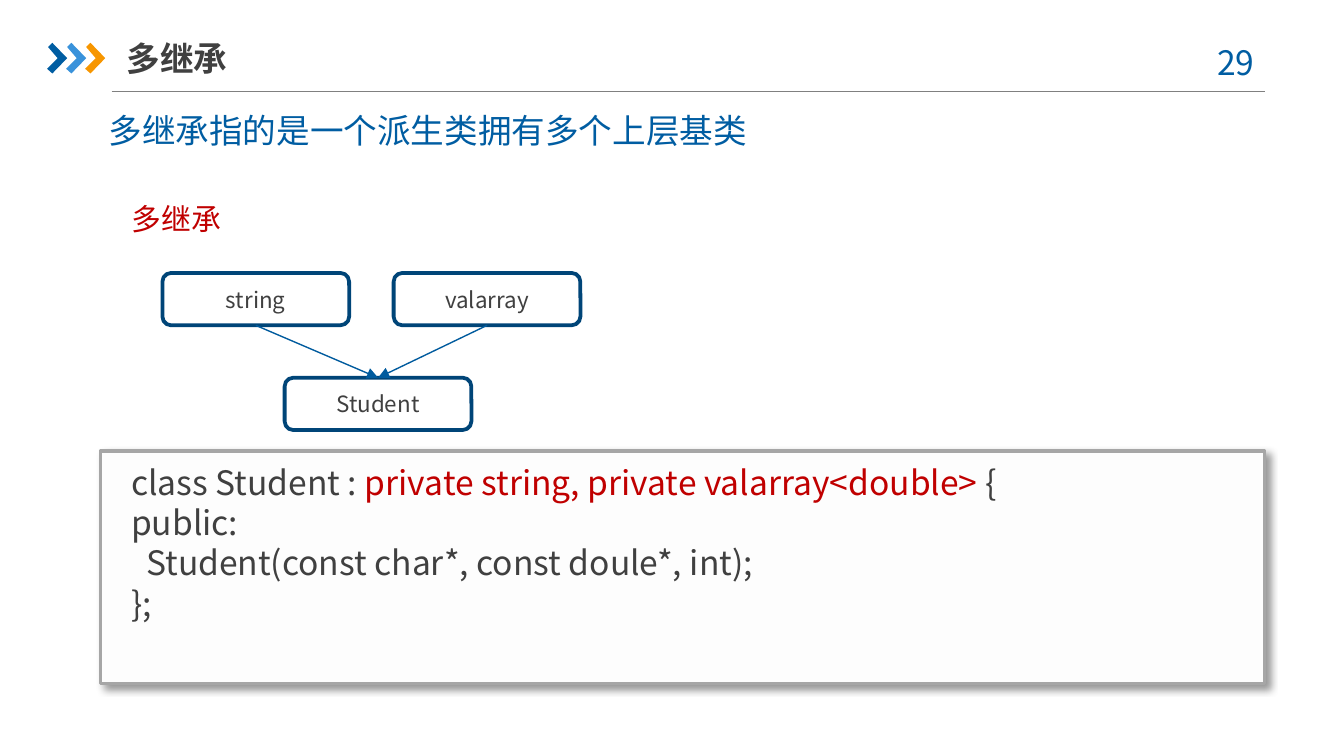
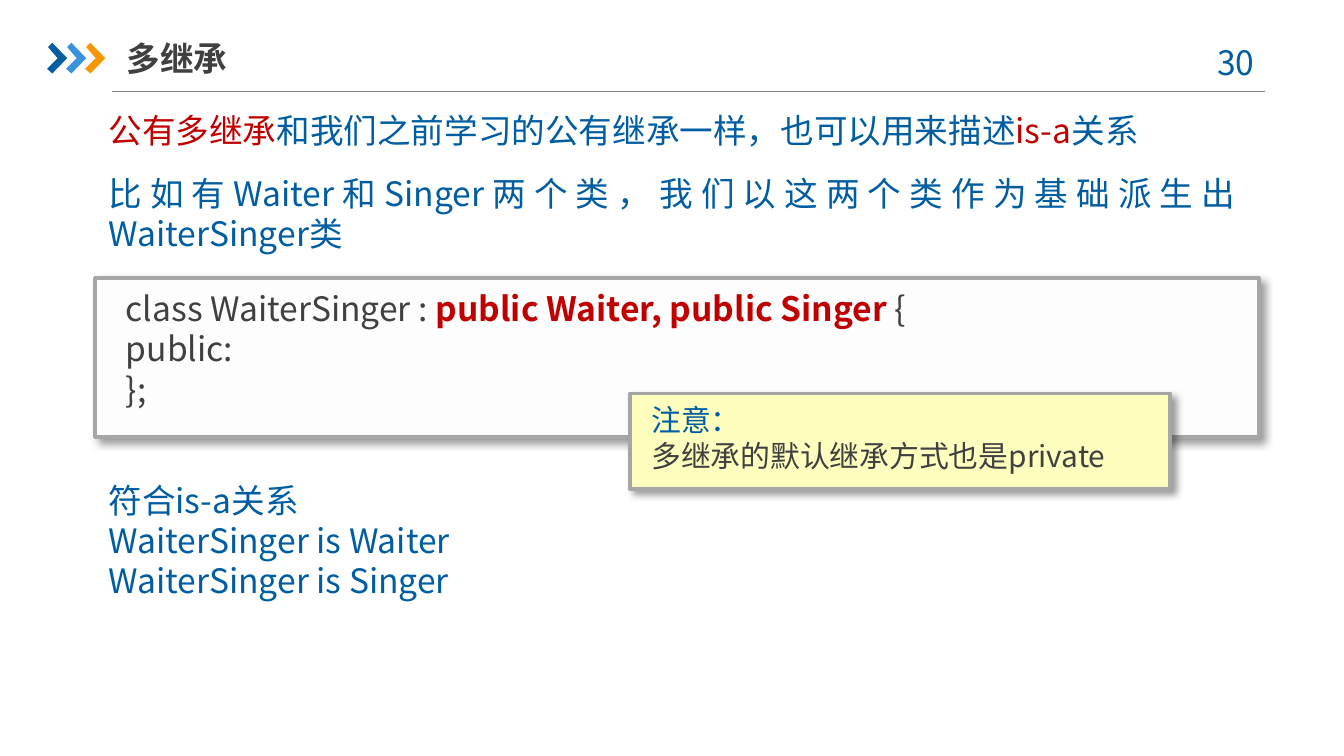
from pptx import Presentation
from pptx.dml.color import RGBColor
from pptx.enum import shapes, text
from pptx.oxml import parse_xml
from pptx.oxml import ns
from pptx.util import Cm, Pt

FONT = "Noto Sans CJK SC"
BLUE, SKY, ORANGE, NAVY = "005DA2", "3992DB", "F79600", "004578"
ARROW, RED, DARK = "005B9E", "C00000", "404040"
GREY, RULE, PAPER, NOTE = "A6A6A6", "808080", "FDFDFD", "FEFFBE"
BODY = (1.8, 1.96, 21.8)
SHADOW = (
    f'<a:effectLst {ns.nsdecls("a")}><a:outerShdw blurRad="{Pt(4)}" dist="{Pt(3)}" '
    'dir="2700000" algn="tl" rotWithShape="0"><a:srgbClr val="000000">'
    '<a:alpha val="40000"/></a:srgbClr></a:outerShdw></a:effectLst>'
)


def color(value):
    return RGBColor.from_string(value)


def lengths(box):
    return [Cm(value) for value in box]


def paint(shape, fill=None, line=None, width=2):
    """Set fill and outline, either of which may be absent, without a shadow."""
    shape.shadow.inherit = False
    if fill:
        shape.fill.solid()
        shape.fill.fore_color.rgb = color(fill)
    else:
        shape.fill.background()
    if line:
        shape.line.color.rgb = color(line)
        shape.line.width = Pt(width)
    else:
        shape.line.fill.background()


def format_span(span, ink, size, bold=False):
    span.font.name = FONT
    span.font.size = Pt(size)
    span.font.bold = bold
    span.font.color.rgb = color(ink)
    east_asian = span.font._element.makeelement(ns.qn("a:ea"), {"typeface": FONT})
    span.font._element.find(ns.qn("a:latin")).addnext(east_asian)


def write(shape, paras, size=18, align=text.PP_ALIGN.LEFT, after=0,
          anchor=text.MSO_ANCHOR.TOP):
    """Fill a shape; each paragraph is a list of (words, colour[, bold])."""
    frame = shape.text_frame
    frame.word_wrap = True
    frame.vertical_anchor = anchor
    for index, pieces in enumerate(paras):
        para = frame.add_paragraph() if index else frame.paragraphs[0]
        para.alignment = align
        para.space_after = Pt(after)
        for words, *style in pieces:
            if words == "\v":
                para.add_line_break()
                continue
            span = para.add_run()
            span.text = words
            format_span(span, style[0], size, *style[1:])


def text_box(page, box, paras, **style):
    write(page.shapes.add_textbox(*lengths(box)), paras, **style)


def add_line(page, start, end, ink):
    line = page.shapes.add_connector(
        shapes.MSO_CONNECTOR.STRAIGHT, *lengths(start + end))
    line.line.color.rgb = color(ink)
    line.line.width = Pt(0.75)
    line._element.spPr.append(parse_xml(f'<a:effectLst {ns.nsdecls("a")}/>'))
    return line


def chevrons(page, left, top):
    outline = [(0.02, 0.08), (0.1, 0), (0.38, 0.29), (0.1, 0.58), (0, 0.49), (0.2, 0.29)]
    for index, fill in enumerate((BLUE, SKY, ORANGE)):
        points = [(Cm(left + 0.36 * index + x), Cm(top + y)) for x, y in outline]
        pen = page.shapes.build_freeform(*points[0])
        pen.add_line_segments(points[1:], close=True)
        paint(pen.convert_to_shape(), fill)


def add_page(deck, title, number):
    """Add a page with the shared header: rule, chevrons, number and title."""
    page = deck.slides.add_slide(deck.slide_layouts[5])
    add_line(page, (2.11, 1.73), (23.9, 1.73), RULE)
    chevrons(page, 0.89, 0.81)
    text_box(page, (22.5, 0.66, 1.85, 1.02), [[(f"{number} ", BLUE)]],
             align=text.PP_ALIGN.CENTER)
    heading = page.shapes.title
    heading.left, heading.top, heading.width, heading.height = lengths((2.39, 0.56, 6.53, 1.07))
    write(heading, [[(title, DARK, True)]], anchor=text.MSO_ANCHOR.MIDDLE)
    heading.text_frame.margin_left = heading.text_frame.margin_right = 0
    return page


def panel(page, box, inner, fill, paras, **style):
    """Draw a shadowed frame with a text area placed relative to its corner."""
    frame = page.shapes.add_shape(shapes.MSO_SHAPE.RECTANGLE, *lengths(box))
    paint(frame, fill, GREY)
    properties = frame._element.spPr
    properties.replace(properties.find(ns.qn("a:effectLst")), parse_xml(SHADOW))
    left, top, width, height = inner
    area = page.shapes.add_shape(
        shapes.MSO_SHAPE.RECTANGLE,
        *lengths((box[0] + left, box[1] + top, width, height)))
    paint(area, fill)
    write(area, paras, **style)


def class_node(page, left, top, name):
    node = page.shapes.add_shape(
        shapes.MSO_SHAPE.ROUNDED_RECTANGLE, *lengths((left, top, 3.53, 0.99)))
    paint(node, line=NAVY)
    write(node, [[(name, DARK)]], size=12, align=text.PP_ALIGN.CENTER,
          anchor=text.MSO_ANCHOR.MIDDLE)
    return node


def inheritance_diagram(page, left, top):
    bases = [class_node(page, left, top, "string"),
             class_node(page, left + 4.37, top, "valarray")]
    derived = class_node(page, left + 2.31, top + 1.98, "Student")
    for base in bases:
        arrow = add_line(page, (0, 0), (0, 0), ARROW)
        arrow.begin_connect(base, 2)
        arrow.end_connect(derived, 0)
        arrow.line._get_or_add_ln().append(
            parse_xml(f'<a:tailEnd {ns.nsdecls("a")} type="triangle"/>'))


def definition_page(deck):
    page = add_page(deck, "多继承", 29)
    text_box(page, (*BODY, 1.02), [[("多继承指的是一个派生类拥有多个上层基类", BLUE)]],
             align=text.PP_ALIGN.JUSTIFY, after=12)
    inheritance_diagram(page, 3.07, 5.16)
    text_box(page, (2.24, 3.66, 4.67, 0.94), [[("多继承", RED)]], size=16)
    panel(page, (1.9, 8.53, 22, 4.39), (0.33, 0.07, 21.36, 3.33), PAPER, [
        [("class Student : ", DARK),
         ("private string, private valarray<double> ", RED), ("{", DARK)],
        [("public:", DARK)],
        [("  Student(const char*, const doule*, int);", DARK)],
        [("};", DARK)],
    ])


def public_page(deck):
    page = add_page(deck, "多继承", 30)
    text_box(page, (*BODY, 3), [
        [("公有多继承", RED), ("和我们之前学习的公有继承一样，也可以用来描述", BLUE),
         ("is-a", RED), ("关系", BLUE)],
        [("比如有Waiter和Singer两个类，我们以这两个类作为基础派生出WaiterSinger类", BLUE)],
    ], align=text.PP_ALIGN.JUSTIFY, after=12)
    panel(page, (1.8, 5.26, 22, 3), (0.33, 0.06, 21.36, 2.57), PAPER, [
        [("class WaiterSinger : ", DARK),
         ("public Waiter, public Singer ", RED, True), ("{", DARK)],
        [("public:", DARK)],
        [("};", DARK)],
    ])
    lines = ("符合is-a关系", "WaiterSinger is Waiter", "WaiterSinger is Singer")
    text_box(page, (1.8, 8.94, 12.7, 2.57), [[(line, BLUE)] for line in lines])
    panel(page, (11.91, 7.44, 10.21, 1.8), (0.15, 0.03, 9.86, 1.63), NOTE, [
        [("注意：", BLUE), ("\v",), ("多继承的默认继承方式也是private", DARK)],
    ], size=16, after=6)


def main():
    deck = Presentation()
    deck.slide_width, deck.slide_height = Cm(25.4), Cm(14.29)
    definition_page(deck)
    public_page(deck)
    deck.save("out.pptx")


if __name__ == "__main__":
    main()
